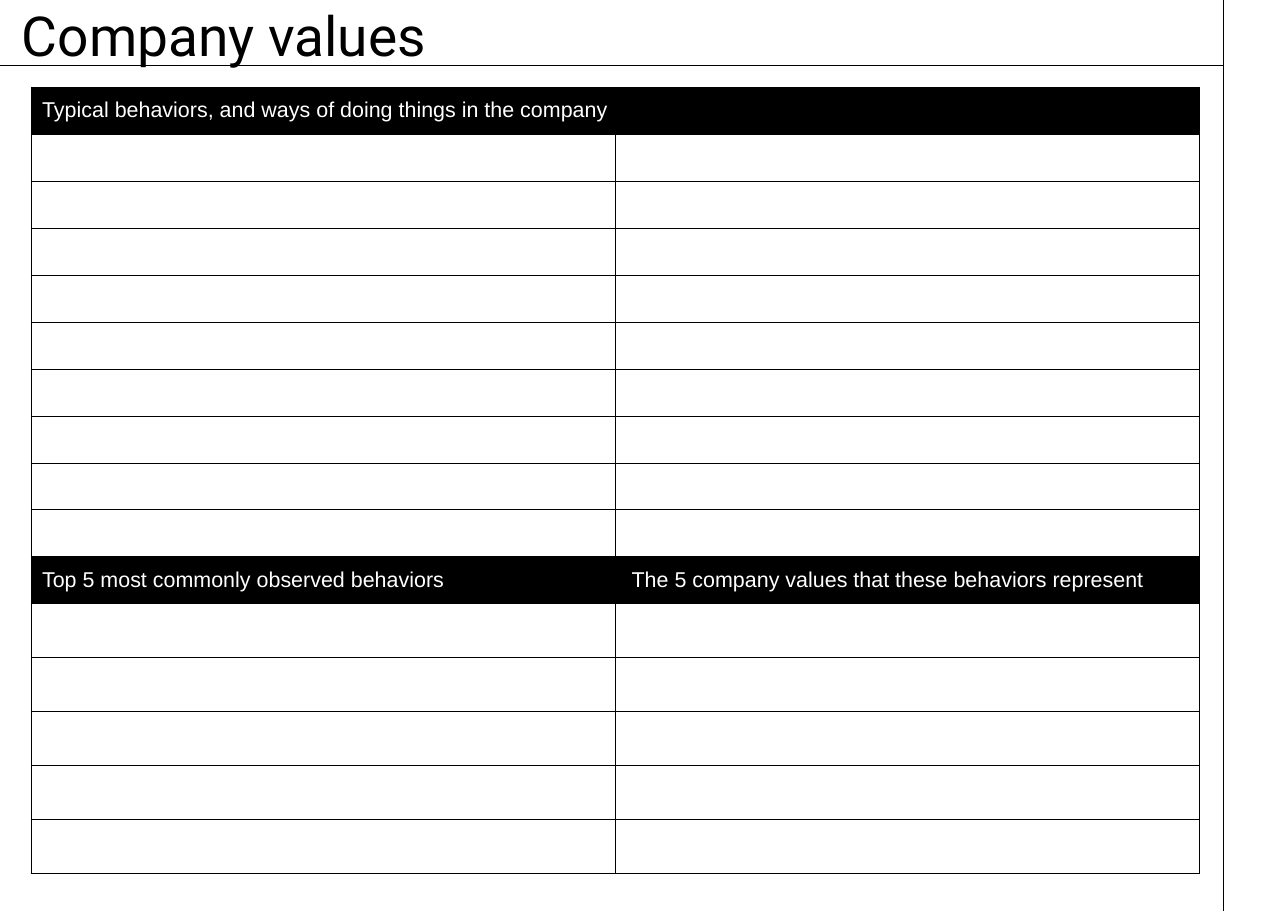
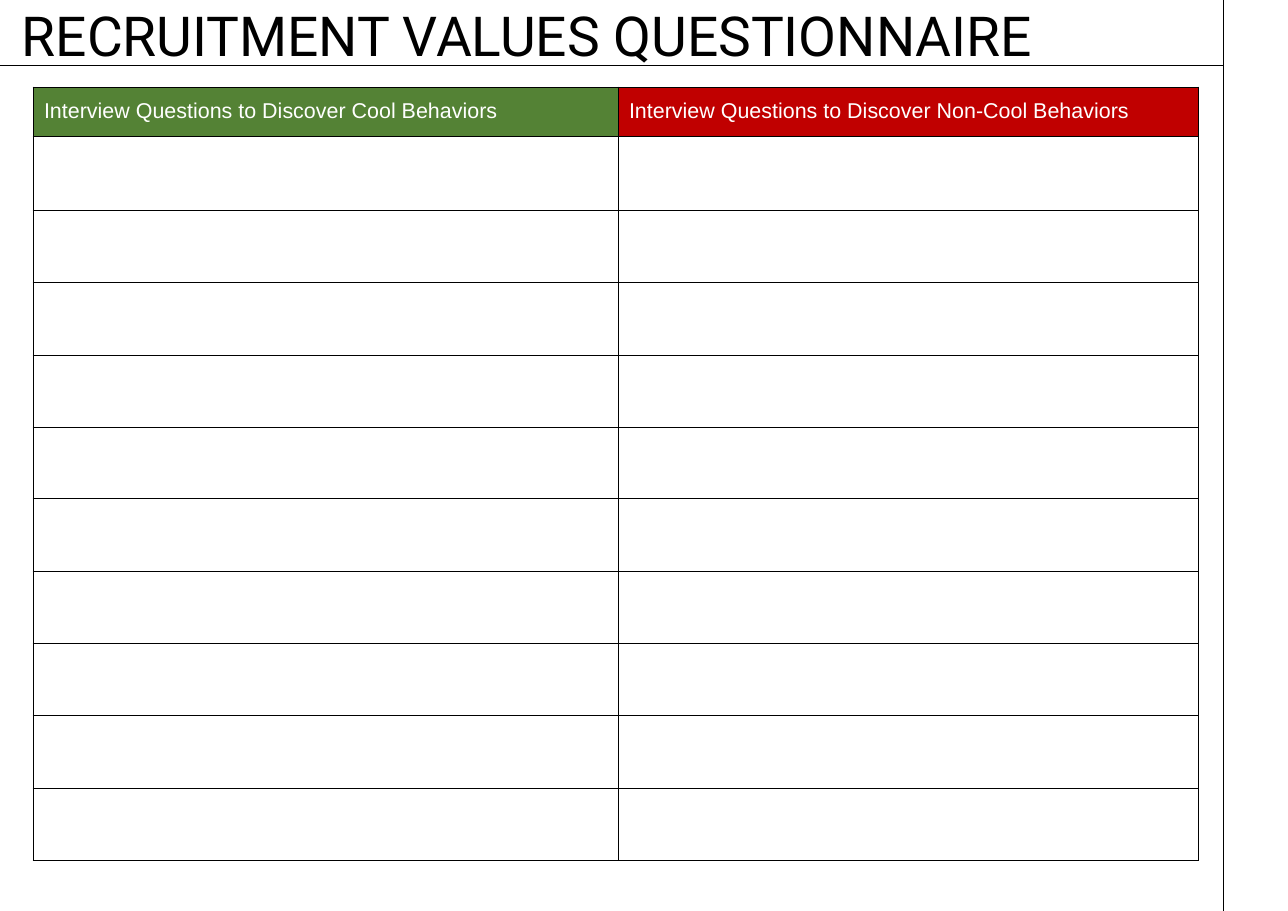
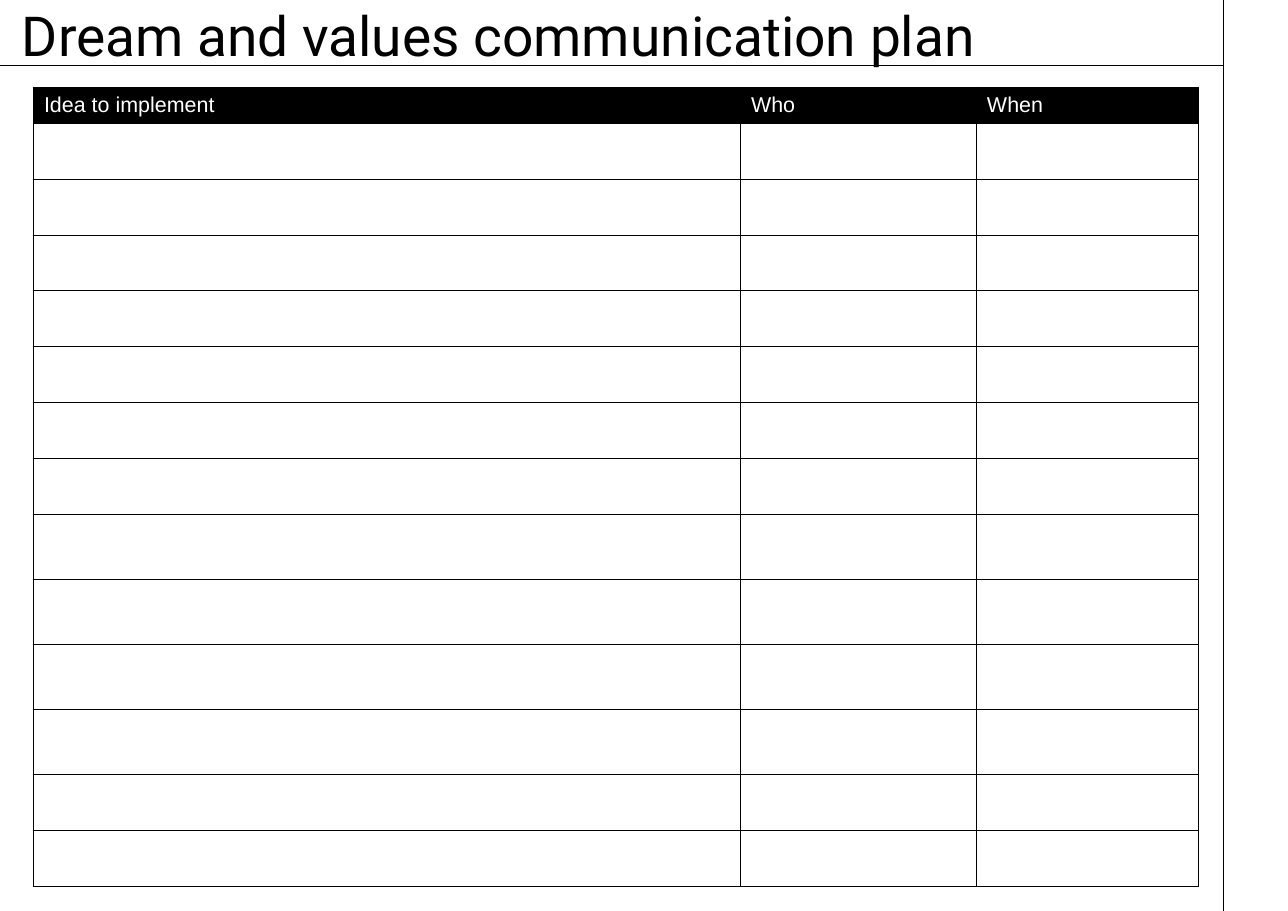
from lxml import etree
from pptx import Presentation
from pptx.dml.color import RGBColor
from pptx.enum.shapes import MSO_CONNECTOR
from pptx.enum.text import MSO_ANCHOR
from pptx.oxml.ns import qn
from pptx.util import Emu, Pt

STRAIGHT = MSO_CONNECTOR.STRAIGHT
MIDDLE, BOTTOM = MSO_ANCHOR.MIDDLE, MSO_ANCHOR.BOTTOM
PX = 8298
SLIDE_W, SLIDE_H = 1288, 911
MARGIN_X, TITLE_RULE_Y = 1223, 65
TITLE_BOX = (11, 25, 1165, 49)
BLACK, WHITE, GREEN, RED = "000000", "FFFFFF", "548235", "C00000"
TITLE_FONT, BODY_FONT = "Roboto", "Arial"
RULE_PT = 0.5

WORKSHEETS = [
    {
        "title": "Company values",
        "origin": (31, 87),
        "columns": [584, 584],
        "rows": [47] * 11 + [54] * 5,
        "headings": {
            0: [("Typical behaviors, and ways of doing things in the company", BLACK)],
            10: [("Top 5 most commonly observed behaviors", BLACK),
                 (" The 5 company values that these behaviors represent", BLACK)],
        },
    },
    {
        "title": "RECRUITMENT VALUES QUESTIONNAIRE",
        "origin": (33, 87),
        "columns": [585, 580],
        "rows": [49, 74] + [72, 73, 72] * 3,
        "headings": {
            0: [("Interview Questions to Discover Cool Behaviors", GREEN),
                ("Interview Questions to Discover Non-Cool Behaviors", RED)],
        },
    },
    {
        "title": "Dream and values communication plan",
        "origin": (33, 87),
        "columns": [707, 236, 222],
        "rows": [36] + [56] * 7 + [65] * 4 + [56] * 2,
        "headings": {
            0: [("Idea to implement", BLACK), ("Who", BLACK), ("When", BLACK)],
        },
    },
]


def px(*lengths):
    """Turn px lengths into a list of EMU lengths."""
    return [Emu(length * PX) for length in lengths]


def color(hex_value):
    """Return the colour for a hex string."""
    return RGBColor.from_string(hex_value)


def add_text(frame, text, font, size, hex_value):
    """Add one styled run to the first paragraph and return the paragraph."""
    paragraph = frame.paragraphs[0]
    run = paragraph.add_run()
    run.text = text
    run.font.name = font
    run.font.size = Pt(size)
    run.font.color.rgb = color(hex_value)
    return paragraph


def add_rule(slide, *ends):
    """Draw a thin black rule between two points."""
    rule = slide.shapes.add_connector(STRAIGHT, *px(*ends))
    rule.line.color.rgb = color(BLACK)
    rule.line.width = Pt(RULE_PT)
    etree.SubElement(rule._element.spPr, qn("a:effectLst"))


def add_frame_rules(slide):
    """Draw the rule under the title and the right margin rule."""
    add_rule(slide, MARGIN_X, TITLE_RULE_Y, 0, TITLE_RULE_Y)
    add_rule(slide, MARGIN_X, SLIDE_H, MARGIN_X, 0)


def add_title(slide, box, title):
    """Place the slide title at the bottom of its box."""
    frame = slide.shapes.add_textbox(*px(*box)).text_frame
    frame.word_wrap = True
    frame.vertical_anchor = BOTTOM
    add_text(frame, title, TITLE_FONT, 36, BLACK).line_spacing = 0.9


def add_borders(cell):
    """Give a cell thin black borders on all sides."""
    properties = cell._tc.get_or_add_tcPr()
    for side in ("lnL", "lnR", "lnT", "lnB"):
        border = etree.SubElement(properties, qn(f"a:{side}"), w=str(Pt(RULE_PT)))
        fill = etree.SubElement(border, qn("a:solidFill"))
        etree.SubElement(fill, qn("a:srgbClr"), val=BLACK)


def add_worksheet(slide, origin, columns, rows, headings):
    """Place an empty form with filled heading rows at its origin."""
    box = px(*origin, sum(columns), sum(rows))
    form = slide.shapes.add_table(len(rows), len(columns), *box).table
    form.first_row = form.horz_banding = False
    for column, width in zip(form.columns, px(*columns)):
        column.width = width
    for row, height in zip(form.rows, px(*rows)):
        row.height = height
    for cell in form.iter_cells():
        add_borders(cell)
        cell.fill.background()
    for row, labels in headings.items():
        if len(labels) == 1:
            form.cell(row, 0).merge(form.cell(row, len(columns) - 1))
        for column, (label, background) in enumerate(labels):
            heading = form.cell(row, column)
            heading.vertical_anchor = MIDDLE
            heading.fill.solid()
            heading.fill.fore_color.rgb = color(background)
            add_text(heading.text_frame, label, BODY_FONT, 14, WHITE)


def main():
    """Build the worksheets and save the presentation."""
    deck = Presentation()
    deck.slide_width, deck.slide_height = px(SLIDE_W, SLIDE_H)
    blank = deck.slide_layouts[6]
    for sheet in WORKSHEETS:
        slide = deck.slides.add_slide(blank)
        add_frame_rules(slide)
        add_worksheet(slide, sheet["origin"], sheet["columns"], sheet["rows"], sheet["headings"])
        add_title(slide, TITLE_BOX, sheet["title"])
    deck.save("out.pptx")


if __name__ == "__main__":
    main()
